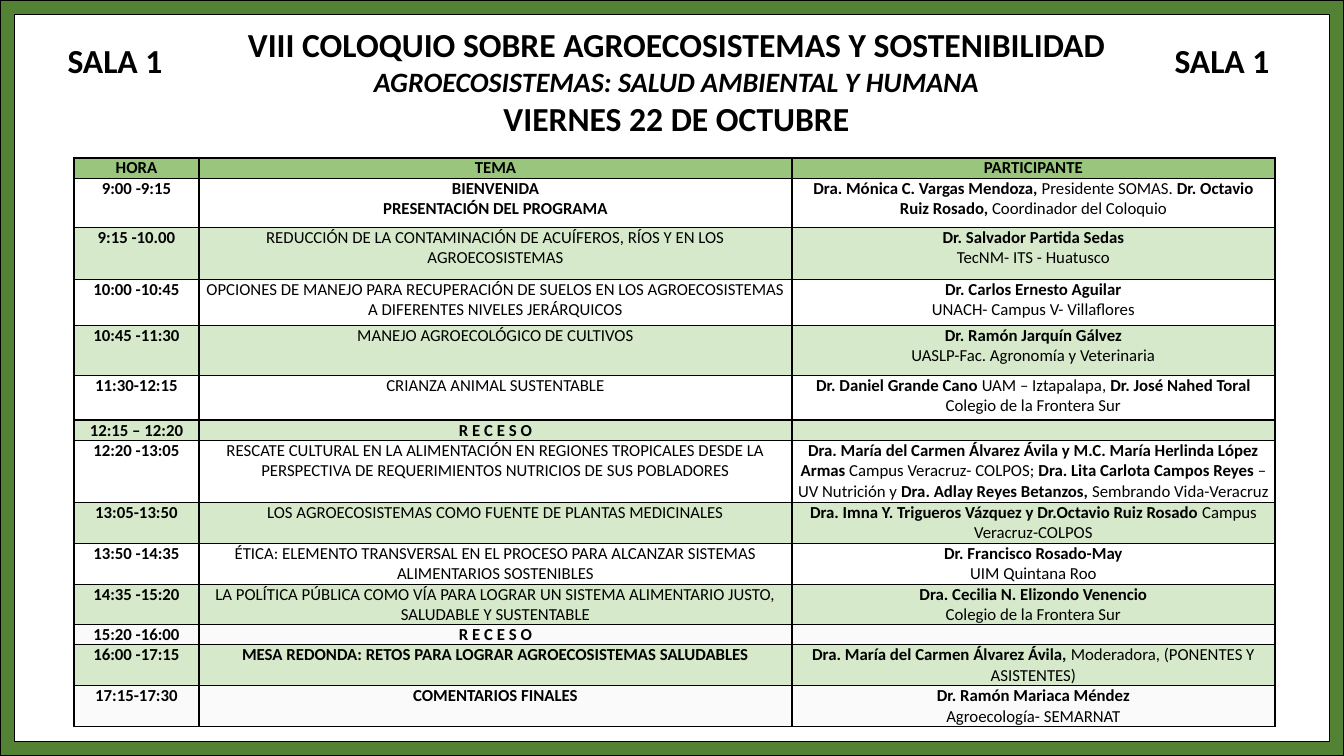
from lxml.etree import SubElement
from pptx import Presentation
from pptx.dml.color import RGBColor as RGB
from pptx.enum.shapes import MSO_SHAPE as SHAPE
from pptx.enum.text import MSO_AUTO_SIZE as FIT, PP_ALIGN as ALIGN
from pptx.oxml import parse_xml
from pptx.oxml.ns import nsdecls, qn
from pptx.util import Pt

W, H = 1344, 756
COLORS = {"ink": "000000", "frame": "548235", "head": "70AD47",
          "green": "C5E0B4", "white": "FFFFFF", "gray": "F8F8F8"}
COLUMNS = [125, 593, 483]
AGENDA = [
    (20, "head", "*HORA*", "*TEMA*", "*PARTICIPANTE*"),
    (49, "white", "*9:00 -9:15*", "*BIENVENIDA*\n*PRESENTACIÓN DEL PROGRAMA*",
     "*Dra. Mónica C. Vargas Mendoza, *Presidente SOMAS. "
     "*Dr. Octavio Ruiz Rosado, *Coordinador del Coloquio"),
    (52, "green", "*9:15 -10.00*",
     "REDUCCIÓN DE LA CONTAMINACIÓN DE ACUÍFEROS, RÍOS Y EN LOS AGROECOSISTEMAS",
     "*Dr. Salvador Partida Sedas*\nTecNM- ITS - Huatusco"),
    (46, "white", "*10:00 -10:45*",
     "OPCIONES DE MANEJO PARA RECUPERACIÓN DE SUELOS EN LOS AGROECOSISTEMAS "
     "A DIFERENTES NIVELES JERÁRQUICOS",
     "*Dr. Carlos Ernesto Aguilar*\nUNACH- Campus V- Villaflores"),
    (50, "green", "*10:45 -11:30*", "MANEJO AGROECOLÓGICO DE CULTIVOS",
     "*Dr. Ramón Jarquín Gálvez*\nUASLP-Fac. Agronomía y Veterinaria"),
    (45, "white", "*11:30-12:15*", "CRIANZA ANIMAL SUSTENTABLE",
     "*Dr. Daniel Grande Cano *UAM – Iztapalapa, "
     "*Dr. José Nahed Toral *Colegio de la Frontera Sur"),
    (20, "green", "*12:15 – 12:20*", "*R E C E S O*", ""),
    (62, "white", "*12:20 -13:05*",
     "RESCATE CULTURAL EN LA ALIMENTACIÓN EN REGIONES TROPICALES DESDE LA "
     "PERSPECTIVA DE REQUERIMIENTOS NUTRICIOS DE SUS POBLADORES",
     "*Dra. María del Carmen Álvarez Ávila y M.C. María Herlinda López Armas*"
     " Campus Veracruz- COLPOS; *Dra. Lita Carlota Campos Reyes *"
     "–UV Nutrición y *Dra. Adlay Reyes Betanzos, *Sembrando Vida-Veracruz"),
    (41, "green", "*13:05-13:50*",
     "LOS AGROECOSISTEMAS COMO FUENTE DE PLANTAS MEDICINALES",
     "*Dra. Imna Y. Trigueros Vázquez y Dr.Octavio Ruiz Rosado*"
     " Campus Veracruz-COLPOS"),
    (41, "white", "*13:50 -14:35*",
     "ÉTICA: ELEMENTO TRANSVERSAL EN EL PROCESO PARA ALCANZAR SISTEMAS "
     "ALIMENTARIOS SOSTENIBLES",
     "*Dr. Francisco Rosado-May*\nUIM Quintana Roo"),
    (40, "green", "*14:35 -15:20*",
     "LA POLÍTICA PÚBLICA COMO VÍA PARA LOGRAR UN SISTEMA ALIMENTARIO JUSTO, "
     "SALUDABLE Y SUSTENTABLE",
     "*Dra. Cecilia N. Elizondo Venencio*\nColegio de la Frontera Sur"),
    (20, "gray", "*15:20 -16:00*", "*R E C E S O*", ""),
    (41, "green", "*16:00 -17:15*",
     "*MESA REDONDA: RETOS PARA LOGRAR AGROECOSISTEMAS SALUDABLES*",
     "*Dra. María del Carmen Álvarez Ávila, *Moderadora, (PONENTES Y ASISTENTES)"),
    (40, "gray", "*17:15-17:30*", "*COMENTARIOS FINALES*",
     "*Dr. Ramón Mariaca Méndez*\nAgroecología- SEMARNAT"),
]


def px(n):
    return round(n * 914400 / 100.8)


class Deck:
    font = "Calibri"

    def __init__(self):
        self.prs = Presentation()
        self.prs.slide_width, self.prs.slide_height = px(W), px(H)
        self.s = self.prs.slides.add_slide(self.prs.slide_layouts[6])

    def run(self, p, text, size, bold=True, italic=False):
        r = p.add_run()
        r.text = text
        f = r.font
        f.name, f.size, f.bold, f.italic = self.font, Pt(size), bold, italic
        f.color.rgb = RGB.from_string(COLORS["ink"])

    def text(self, x, y, w, h, lines):
        tf = self.s.shapes.add_textbox(*map(px, (x, y, w, h))).text_frame
        tf.word_wrap = True
        tf.auto_size = FIT.SHAPE_TO_FIT_TEXT
        for i, (line, size, italic) in enumerate(lines):
            p = tf.add_paragraph() if i else tf.paragraphs[0]
            p.alignment = ALIGN.CENTER
            self.run(p, line, size, italic=italic)

    def frame(self, x, y, w, h, adj):
        sp = self.s.shapes.add_shape(SHAPE.FRAME, *map(px, (x, y, w, h)))
        sp.adjustments[0] = adj
        sp.shadow.inherit = False
        sp.fill.solid()
        sp.fill.fore_color.rgb = RGB.from_string(COLORS["frame"])
        sp.line.color.rgb = RGB.from_string(COLORS["ink"])
        sp.line.width = Pt(1)

    def cell(self, cell, text, color, size=12):
        cell.margin_left = cell.margin_right = px(5)
        cell.margin_top = cell.margin_bottom = 0
        tf = cell.text_frame
        for i, line in enumerate(text.split("\n")):
            p = tf.add_paragraph() if i else tf.paragraphs[0]
            p.alignment = ALIGN.CENTER
            for j, part in enumerate(line.split("*")):
                if part:
                    self.run(p, part, size, bold=j % 2 == 1)
            SubElement(p._p, qn("a:endParaRPr"), sz=str(size * 100))
        cell.fill.solid()
        cell.fill.fore_color.rgb = RGB.from_string(COLORS[color])
        tc_pr = cell._tc.get_or_add_tcPr()
        SubElement(tc_pr.find(".//" + qn("a:srgbClr")), qn("a:alpha"), val="70000")
        for i, side in enumerate("LRTB"):
            tc_pr.insert(i, parse_xml(
                f'<a:ln{side} {nsdecls("a")} w="{Pt(1)}"><a:solidFill>'
                f'<a:srgbClr val="{COLORS["ink"]}"/></a:solidFill></a:ln{side}>'))

    def table(self, x, y, columns, rows):
        h = sum(row[0] for row in rows)
        box = map(px, (x, y, sum(columns), h))
        t = self.s.shapes.add_table(len(rows), len(columns), *box).table
        t.first_row = t.horz_banding = False
        for col, w in zip(t.columns, columns):
            col.width = px(w)
        for i, (height, color, *texts) in enumerate(rows):
            t.rows[i].height = px(height)
            for j, text in enumerate(texts):
                self.cell(t.cell(i, j), text, color)


def main():
    d = Deck()
    d.text(197, 19, 959, 126, [
        ("VIII COLOQUIO SOBRE AGROECOSISTEMAS Y SOSTENIBILIDAD", 24, False),
        ("AGROECOSISTEMAS: SALUD AMBIENTAL Y HUMANA", 20, True),
        ("VIERNES 22 DE OCTUBRE", 24, False)])
    for x in (28, 1135):
        d.text(x, 35, 174, 50, [("SALA 1", 24, False)])
    d.frame(0, 0, W, H, 0.019)
    d.table(74, 158, COLUMNS, AGENDA)
    d.prs.save("out.pptx")


if __name__ == "__main__":
    main()
